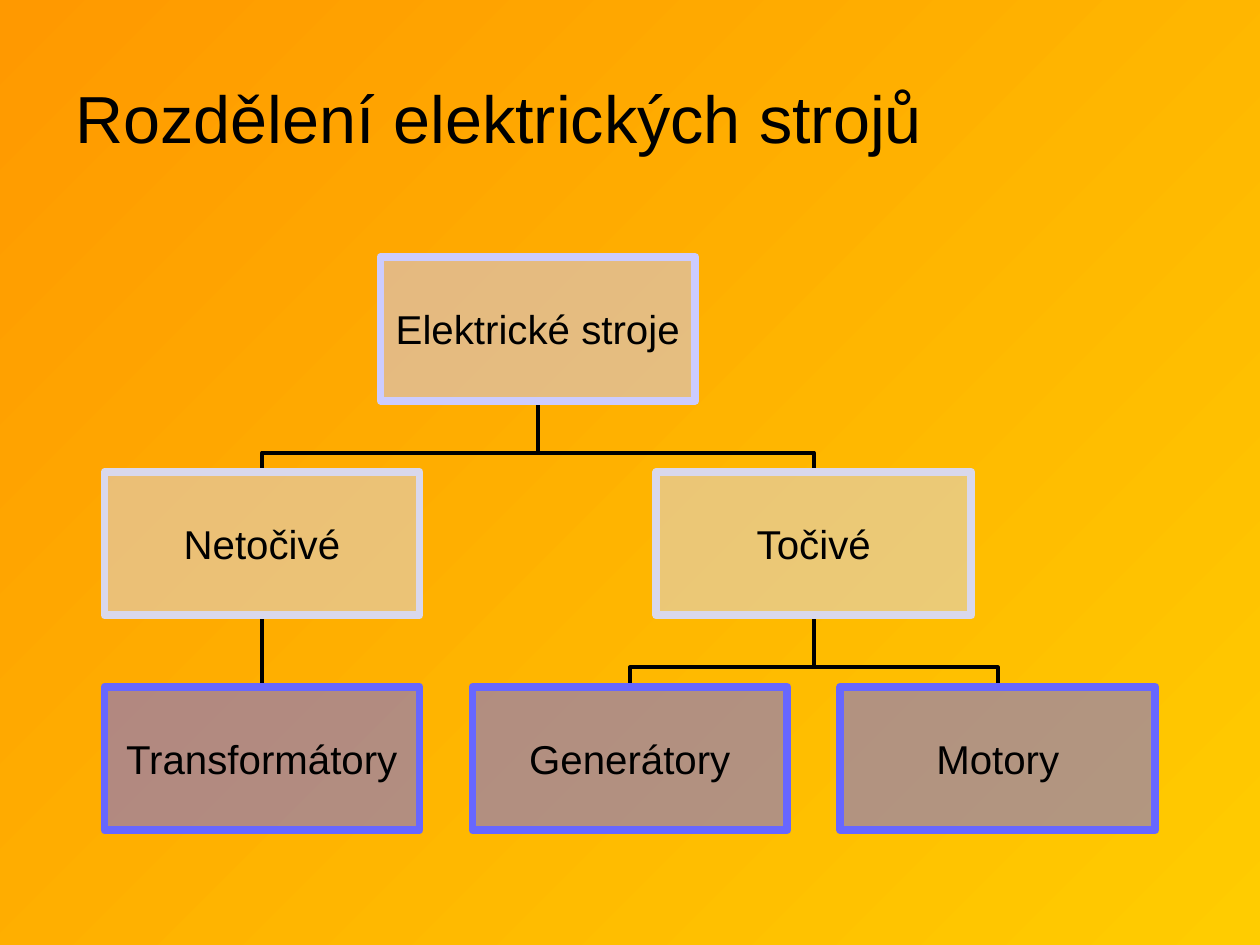
from dataclasses import dataclass
from typing import Optional

from lxml.etree import SubElement
from pptx import Presentation
from pptx.dml.color import RGBColor
from pptx.enum.shapes import MSO_CONNECTOR, MSO_SHAPE
from pptx.enum.text import MSO_ANCHOR, PP_ALIGN
from pptx.oxml.ns import qn
from pptx.util import Inches, Pt

COLORS = {
    "text": "000000",
    "bottom_right": "FFCC00",
    "top_left": "FF9900",
    "level0": "CCCCFF",
    "level1": "D9D8EC",
    "level2": "6767FF",
}
BOX_WIDTH, BOX_HEIGHT = 2.5, 1.14
LEFT, TOP = 0.83, 2.04
COLUMN_STEP, ROW_STEP = 2.92, 1.705
BEND_SHARE = 0.27  # height of the bend above a child, as a share of the row gap
TOP_SITE, BOTTOM_SITE = 0, 2

TITLE_FORMAT = {"name": "Arial", "size": Pt(38)}
LABEL_FORMAT = {"name": "Arial", "size": Pt(23)}
BOX_FRAME = {
    "margin_left": 0, "margin_right": 0, "margin_top": 0, "margin_bottom": 0,
    "word_wrap": False, "vertical_anchor": MSO_ANCHOR.MIDDLE,
}
TITLE_FRAME = {
    "margin_left": Inches(0.1), "margin_right": Inches(0.1),
    "margin_top": Inches(0.05), "margin_bottom": Inches(0.05),
    "word_wrap": True, "vertical_anchor": MSO_ANCHOR.MIDDLE,
}
TITLE_PLACE = {
    "left": Inches(0.5), "top": Inches(0.3),
    "width": Inches(9), "height": Inches(1.25),
}


@dataclass
class Machine:
    label: str
    column: float
    level: int
    parent: Optional[str] = None


MACHINES = [
    Machine("Elektrické stroje", 0.75, 0),
    Machine("Netočivé", 0, 1, "Elektrické stroje"),
    Machine("Točivé", 1.5, 1, "Elektrické stroje"),
    Machine("Transformátory", 0, 2, "Netočivé"),
    Machine("Generátory", 1, 2, "Točivé"),
    Machine("Motory", 2, 2, "Točivé"),
]


def color(key: str) -> RGBColor:
    return RGBColor.from_string(COLORS[key])


def apply(target, values: dict) -> None:
    for name, value in values.items():
        setattr(target, name, value)


def write(shape, text: str, frame: dict, font: dict, alignment) -> None:
    apply(shape.text_frame, frame)
    paragraph = shape.text_frame.paragraphs[0]
    paragraph.text = text
    paragraph.alignment = alignment
    apply(paragraph.font, font)
    paragraph.font.color.rgb = color("text")


def paint_background(slide) -> None:
    fill = slide.background.fill
    fill.gradient()
    fill.gradient_angle = 135
    for stop, key in zip(fill.gradient_stops, ("bottom_right", "top_left")):
        stop.color.rgb = color(key)


def add_box(slide, machine: Machine):
    box = slide.shapes.add_shape(
        MSO_SHAPE.RECTANGLE,
        Inches(LEFT + machine.column * COLUMN_STEP),
        Inches(TOP + machine.level * ROW_STEP),
        Inches(BOX_WIDTH), Inches(BOX_HEIGHT),
    )
    box.shadow.inherit = False
    tone = color(f"level{machine.level}")
    box.fill.solid()
    box.fill.fore_color.rgb = tone
    fill_color = box.fill._xPr.find(qn("a:solidFill"))[0]
    SubElement(fill_color, qn("a:alpha"), val="50000")
    box.line.color.rgb = tone
    box.line.width = Pt(4.5)
    write(box, machine.label, BOX_FRAME, LABEL_FORMAT, PP_ALIGN.CENTER)
    return box


def bend_upwards(link) -> None:
    """Turn an elbow so that it leaves and arrives vertically."""
    goes_left = link.end_x < link.begin_x
    across, rise = link.width, link.height
    center_x, center_y = link.left + across // 2, link.top + rise // 2
    apply(link, {
        "left": center_x - rise // 2, "top": center_y - across // 2,
        "width": rise, "height": across,
    })
    properties = link._element.spPr
    turn = {"rot": "16200000" if goes_left else "5400000",
            "flipH": "0" if goes_left else "1", "flipV": "1"}
    for name, value in turn.items():
        properties.find(qn("a:xfrm")).set(name, value)
    adjustments = properties.find(qn("a:prstGeom")).find(qn("a:avLst"))
    SubElement(adjustments, qn("a:gd"), name="adj1",
               fmla=f"val {round(BEND_SHARE * 100000)}")


def add_link(slide, child, parent) -> None:
    """Join a child's top to its parent's bottom, behind the boxes."""
    straight = child.left == parent.left
    kind = MSO_CONNECTOR.STRAIGHT if straight else MSO_CONNECTOR.ELBOW
    link = slide.shapes.add_connector(kind, 0, 0, 0, 0)
    link.begin_connect(child, TOP_SITE)
    link.end_connect(parent, BOTTOM_SITE)
    if not straight:
        bend_upwards(link)
    link.line.color.rgb = color("text")
    link.line.width = Pt(2.25)
    SubElement(link._element.spPr, qn("a:effectLst"))
    slide.shapes._spTree.insert(2, link._element)


def main() -> None:
    presentation = Presentation()
    presentation.slide_width, presentation.slide_height = Inches(10), Inches(7.5)
    slide = presentation.slides.add_slide(presentation.slide_layouts[5])
    paint_background(slide)

    title = slide.shapes.title
    apply(title, TITLE_PLACE)
    write(title, "Rozdělení elektrických strojů", TITLE_FRAME, TITLE_FORMAT,
          PP_ALIGN.LEFT)

    boxes = {machine.label: add_box(slide, machine) for machine in MACHINES}
    for machine in MACHINES:
        if machine.parent:
            add_link(slide, boxes[machine.label], boxes[machine.parent])
    presentation.save("out.pptx")


if __name__ == "__main__":
    main()
